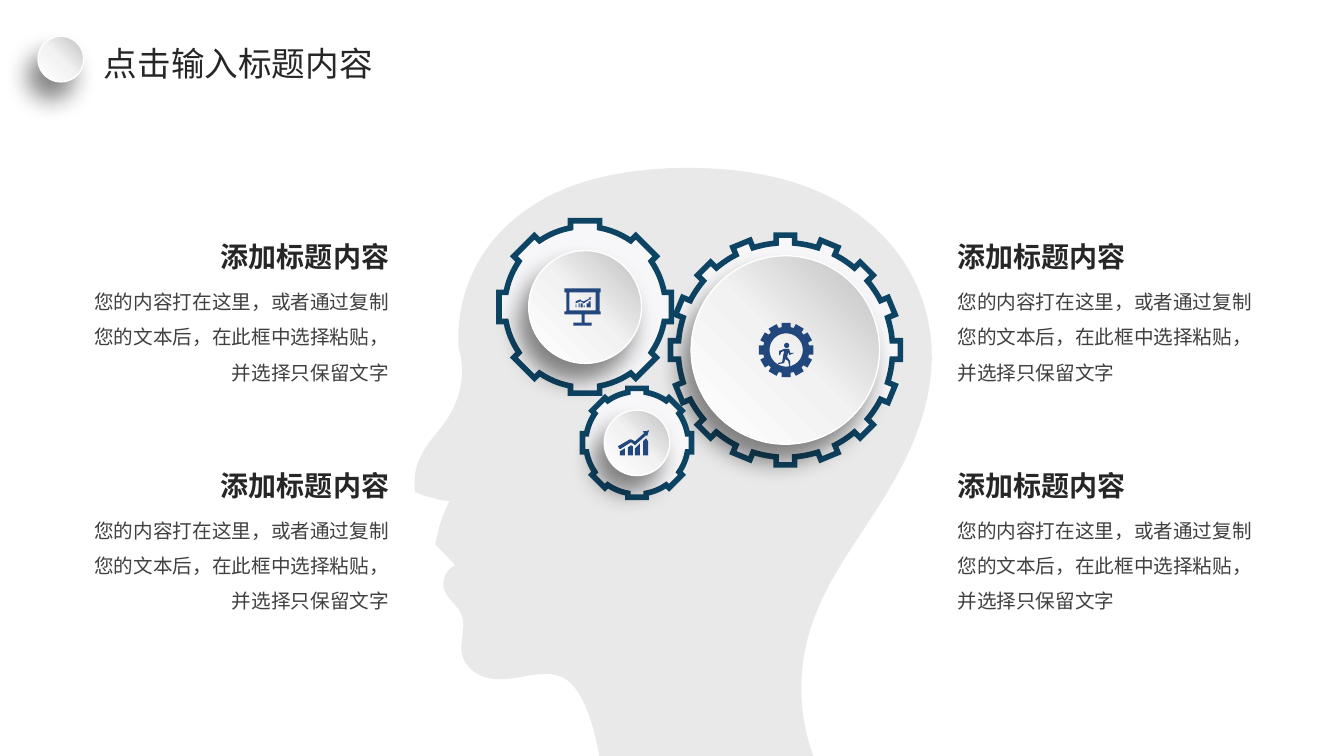
from dataclasses import dataclass
from math import asin, cos, pi, sin

from pptx import Presentation
from pptx.dml.color import RGBColor
from pptx.enum import shapes, text
from pptx.oxml import parse_xml
from pptx.oxml.ns import nsdecls, qn
from pptx.util import Pt


@dataclass(frozen=True)
class Theme:
    font: str = "Noto Sans CJK SC"
    dark: str = "262626"
    body: str = "404040"
    head: str = "D9D9D9"
    gear: str = "F7F6F8"
    rim: str = "0D4363"
    icon: str = "22477D"
    white: str = "FFFFFF"
    shadow: str = "0D0D0D"
    shine: tuple = ((0, "BFBFBF"), (50, "F2F2F2"), (100, "FFFFFF"))
    title_size: int = 24
    heading_size: int = 20
    body_size: int = 14


@dataclass(frozen=True)
class Box:
    x: float
    y: float
    w: float
    h: float

    @property
    def center(self):
        return self.x + self.w / 2, self.y + self.h / 2

    def inner(self, size, dx=0):
        cx, cy = self.center
        return Box(cx - size / 2 + dx, cy - size / 2, size, size)


T = Theme()
GRID = 0.72
HEADING = "添加标题内容"
BODY = "您的内容打在这里，或者通过复制您的文本后，在此框中选择粘贴，并选择只保留文字"

HEAD_OUTLINE = [
    (184, 588), (182, 570, 177, 551, 170, 534), (165, 523, 159, 512, 149, 506),
    (127, 494, 100, 511, 75, 506), (63, 504, 51, 495, 48, 484),
    (44, 471, 52, 456, 47, 443), (43, 433, 31, 426, 29, 415),
    (28, 406, 33, 397, 41, 394), (21, 373), (22, 367, 24, 361, 25, 355),
    (28, 346, 31, 338, 35, 330), (30, 330, 24, 329, 19, 327),
    (13, 326, 7, 324, 1, 321), (-1, 309, 1, 296, 7, 285),
    (14, 270, 27, 259, 35, 245), (47, 225, 51, 201, 44, 178),
    (41, 131, 60, 85, 95, 54), (140, 14, 197, 3, 252, 0),
    (308, -2, 368, 4, 419, 32), (458, 54, 489, 87, 504, 130),
    (526, 194, 507, 257, 473, 315), (446, 362, 409, 405, 393, 457),
    (380, 498, 381, 543, 396, 583),
]


def flatten(outline, steps=16):
    points = []
    for seg in outline:
        if len(seg) == 2:
            points.append(seg)
            continue
        nodes = [points[-1], seg[:2], seg[2:4], seg[4:]]
        for i in range(1, steps + 1):
            t = i / steps
            weights = ((1 - t) ** 3, 3 * t * (1 - t) ** 2, 3 * t * t * (1 - t), t ** 3)
            points.append(tuple(sum(k * n[a] for k, n in zip(weights, nodes)) for a in (0, 1)))
    return points


def circle(cx, cy, r, steps=48):
    return [(cx + r * cos(2 * pi * i / steps), cy + r * sin(2 * pi * i / steps)) for i in range(steps)]


def rect(x, y, w, h):
    return [(x, y), (x + w, y), (x + w, y + h), (x, y + h)]


def cog(cx, cy, outer, root, half, teeth, steps=6):
    points = []
    edge, pitch = asin(half / root), 2 * pi / teeth
    for i in range(teeth):
        a = i * pitch
        for side in (-half, half):
            points.append((cx + outer * sin(a) + side * cos(a), cy - outer * cos(a) + side * sin(a)))
        for j in range(steps + 1):
            b = a + edge + (pitch - 2 * edge) * j / steps
            points.append((cx + root * sin(b), cy - root * cos(b)))
    return points


RUNNER_ICON = [
    cog(26, 27, 27, 23, 4.5, 12),
    circle(26, 27, 16.5),
    [(19, 32), (19, 28), (24, 26), (29, 26), (30, 30), (34, 30), (29, 32), (28, 29),
     (27, 34), (30, 38), (30, 43), (29, 43), (28, 38), (25, 36), (24, 40), (18, 41),
     (18, 40), (22, 39), (23, 33), (24, 28), (21, 29), (20, 32)],
    circle(26.5, 22.5, 2.5),
]
BOARD_ICON = [
    [(0, 0), (36, 0), (36, 4), (35, 4), (35, 23), (36, 23), (36, 26), (20, 26), (20, 34), (27, 34),
     (27, 37), (9, 37), (9, 34), (17, 34), (17, 26), (0, 26), (0, 23), (2, 23), (2, 4), (0, 4)],
    rect(5, 4, 26, 18),
    [(27, 9), (24, 9), (25, 10), (19, 13), (16, 12), (16, 11), (11, 13), (11, 15),
     (16, 13), (18, 14), (19, 15), (25, 11), (26, 12), (26, 10)],
] + [rect(x, y, w, 19 - y) for x, y, w in
     ((11, 16, 1), (14, 15, 1), (16, 15, 2), (19, 17, 1), (22, 15, 2), (24, 13, 2))]
GROWTH_ICON = [
    [(0, 16), (12, 9), (13, 9), (17, 11), (26, 3), (25, 1), (28, 1), (31, 0), (30, 3),
     (29, 6), (28, 5), (18, 14), (17, 15), (16, 14), (13, 12), (2, 19)],
    [(2, 21), (7, 18), (7, 25), (2, 25)],
    [(10, 17), (13, 15), (15, 16), (15, 25), (10, 25)],
    [(17, 18), (22, 13), (22, 25), (17, 25)],
    [(25, 11), (28, 8), (30, 11), (30, 25), (25, 25)],
]


def outline_shape(s, contours, fill):
    pen = None
    for contour in contours:
        start, *rest = [(Pt(x), Pt(y)) for x, y in contour]
        if pen is None:
            pen = s.shapes.build_freeform(*start, scale=1.0)
        else:
            pen.move_to(*start)
        pen.add_line_segments(rest, close=True)
    sp = pen.convert_to_shape()
    sp.shadow.inherit = False
    sp.fill.solid()
    sp.fill.fore_color.rgb = RGBColor.from_string(fill)
    sp.line.fill.background()
    return sp


def set_line(sp, color, width):
    sp.line.color.rgb = RGBColor.from_string(color)
    sp.line.width = Pt(width)


def add_head(s, box):
    k = box.w / 513
    points = [(box.x + x * k, box.y + y * k) for x, y in flatten(HEAD_OUTLINE)]
    sp = outline_shape(s, [points], T.head)
    color = sp._element.spPr.find(qn("a:solidFill"))[0]
    color.append(parse_xml(f'<a:alpha {nsdecls("a")} val="57000"/>'))


def add_dial(s, box):
    sp = s.shapes.add_shape(shapes.MSO_SHAPE.OVAL, Pt(box.x), Pt(box.y), Pt(box.w), Pt(box.h))
    sp.shadow.inherit = False
    set_line(sp, T.white, 1)
    stops = "".join(f'<a:gs pos="{p * 1000}"><a:srgbClr val="{c}"/></a:gs>' for p, c in T.shine)
    spPr = sp._element.spPr
    spPr.insert(2, parse_xml(f'<a:gradFill {nsdecls("a")} rotWithShape="1"><a:gsLst>{stops}</a:gsLst>'
                             f'<a:lin ang="{135 * 60000}" scaled="0"/></a:gradFill>'))
    spPr.find(qn("a:effectLst")).append(parse_xml(
        f'<a:outerShdw {nsdecls("a")} blurRad="{Pt(17)}" dist="{Pt(14)}" dir="{120 * 60000}" '
        f'algn="ctr" rotWithShape="0"><a:srgbClr val="{T.shadow}"><a:alpha val="50000"/>'
        '</a:srgbClr></a:outerShdw>'))


def add_icon(s, box, contours):
    xs, ys = zip(*[p for c in contours for p in c])
    cx, cy = box.center
    x0, y0 = cx - (min(xs) + max(xs)) / 2 * GRID, cy - (min(ys) + max(ys)) / 2 * GRID
    outline_shape(s, [[(x0 + x * GRID, y0 + y * GRID) for x, y in c] for c in contours], T.icon)


def add_gear(s, box, teeth, root, half, dial, icon, icon_dx):
    sp = outline_shape(s, [cog(*box.center, box.w / 2, root, half, teeth)], T.gear)
    set_line(sp, T.rim, 4)
    sp.line._ln.append(parse_xml(f'<a:miter {nsdecls("a")} lim="800000"/>'))
    add_dial(s, box.inner(dial))
    add_icon(s, box.inner(dial, icon_dx), icon)


def add_text(s, box, words, size, color, bold=False, align=text.PP_ALIGN.LEFT, spacing=None):
    tf = s.shapes.add_textbox(Pt(box.x), Pt(box.y), Pt(box.w), Pt(box.h)).text_frame
    tf.word_wrap = True
    tf.text = words
    p = tf.paragraphs[0]
    p.alignment = align
    p.line_spacing = spacing
    r = p.runs[0]
    r.font.size, r.font.bold, r.font.name = Pt(size), bold, T.font
    r.font.color.rgb = RGBColor.from_string(color)
    r._r.get_or_add_rPr().append(parse_xml(f'<a:ea {nsdecls("a")} typeface="{T.font}"/>'))
    return tf


def add_note(s, box, align):
    x = box.x + box.w - 180 if align == text.PP_ALIGN.RIGHT else box.x
    heading = add_text(s, Box(x, box.y, 180, 31.5), HEADING, T.heading_size, T.dark, True, align)
    body = add_text(s, Box(box.x, box.y + 27.4, box.w, box.h - 27.4), BODY, T.body_size, T.body,
                    align=align, spacing=1.5)
    for tf in (heading, body):
        tf.auto_size = text.MSO_AUTO_SIZE.SHAPE_TO_FIT_TEXT


def add_title(s, box):
    add_dial(s, Box(box.x, box.y + 0.7, 32.6, 32.6))
    tf = add_text(s, Box(box.x + 47, box.y, box.w - 47, box.h), "点击输入标题内容", T.title_size, T.dark)
    tf.margin_left = tf.margin_right = 0
    tf.vertical_anchor = text.MSO_ANCHOR.MIDDLE


def main():
    prs = Presentation()
    prs.slide_width, prs.slide_height = Pt(960), Pt(540)
    s = prs.slides.add_slide(prs.slide_layouts[6])
    add_head(s, Box(295.9, 120.2, 369.4, 423.4))
    add_gear(s, Box(478.9, 167.9, 164.2, 164.2), 16, 76.6, 6.6, 134.6, RUNNER_ICON, 0.6)
    add_gear(s, Box(356.4, 157.7, 123.1, 123.1), 8, 57.4, 10.4, 80.6, BOARD_ICON, -1.8)
    add_gear(s, Box(416.1, 277.4, 77.8, 77.8), 8, 36.6, 6.5, 46.8, GROWTH_ICON, -2.5)
    for x, align in ((676.8, text.PP_ALIGN.LEFT), (51.8, text.PP_ALIGN.RIGHT)):
        for y in (167.8, 331.2):
            add_note(s, Box(x, y, 233.3, 110.9), align)
    add_title(s, Box(27.2, 25.2, 270.2, 39.6))
    prs.save("out.pptx")


if __name__ == "__main__":
    main()
